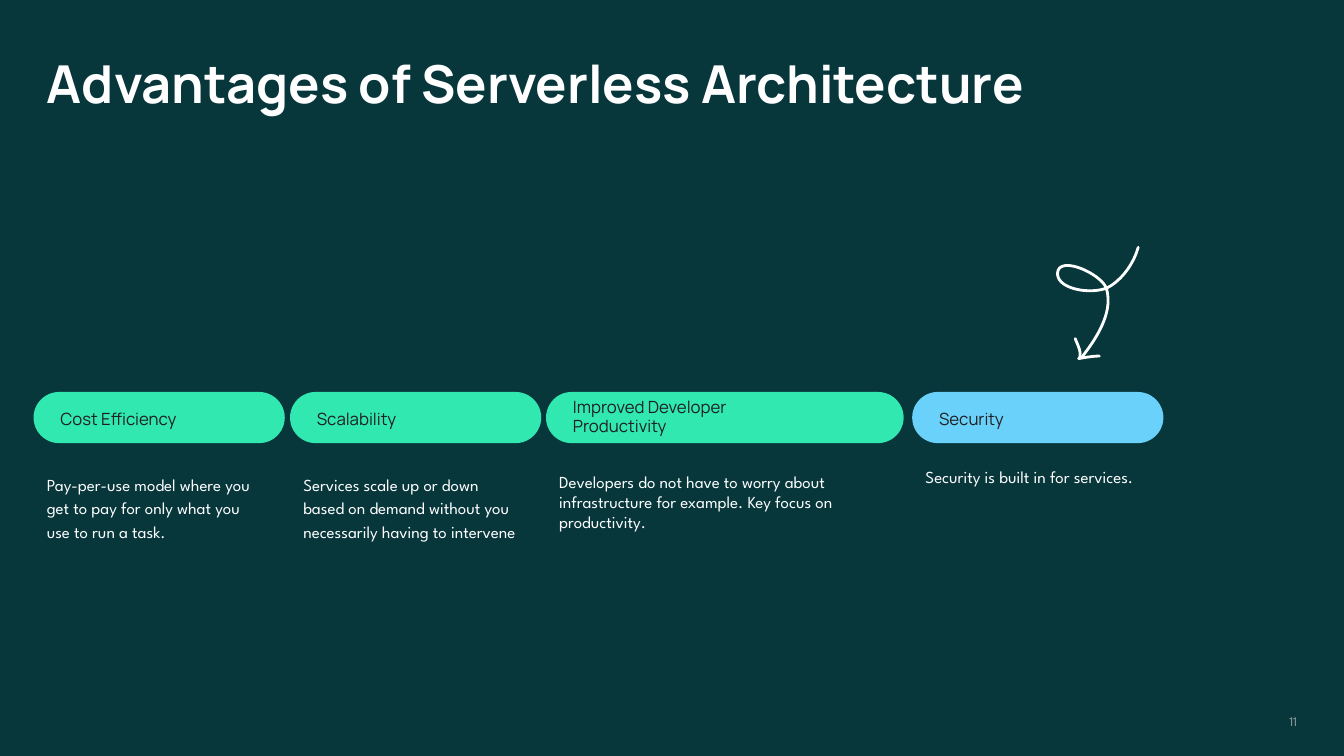
from dataclasses import dataclass

from pptx import Presentation
from pptx.dml.color import RGBColor
from pptx.enum.shapes import MSO_SHAPE
from pptx.enum.text import MSO_ANCHOR, PP_ALIGN
from pptx.util import Pt


@dataclass(frozen=True)
class Theme:
    background: str = "07363B"
    green: str = "30E8B0"
    blue: str = "6AD1FA"
    dark: str = "1F1F1F"
    white: str = "FFFFFF"
    muted: str = "93A2A2"
    heading_font: str = "Manrope"
    body_font: str = "League Spartan"
    title_size: float = 28
    text_size: float = 9
    number_size: float = 7
    stroke: float = 1.5


THEME = Theme()


@dataclass(frozen=True)
class Box:
    left: float
    top: float
    width: float
    height: float

    def lengths(self) -> tuple:
        return Pt(self.left), Pt(self.top), Pt(self.width), Pt(self.height)


@dataclass(frozen=True)
class TextStyle:
    font: str
    size: float
    color: str
    bold: bool = False
    align: PP_ALIGN = PP_ALIGN.LEFT
    anchor: MSO_ANCHOR = MSO_ANCHOR.TOP
    insets: tuple = (7.2, 7.2, 7.2, 7.2)  # left, top, right, bottom


@dataclass(frozen=True)
class Advantage:
    label: str
    detail: str
    left: float
    width: float = 134.6
    color: str = THEME.green
    label_spacing: float = 1.15
    detail_spacing: float = 1.15


TITLE = TextStyle(THEME.heading_font, THEME.title_size, THEME.white, bold=True)
LABEL = TextStyle(THEME.heading_font, THEME.text_size, THEME.dark,
                  anchor=MSO_ANCHOR.MIDDLE, insets=(14.4, 0, 14.4, 0))
DETAIL = TextStyle(THEME.body_font, THEME.text_size, THEME.white,
                   insets=(7.2, 14.4, 14.4, 7.2))
NUMBER = TextStyle(THEME.body_font, THEME.number_size, THEME.muted,
                   align=PP_ALIGN.RIGHT)

PILL_TOP, PILL_HEIGHT = 210, 27.4
DETAIL_TOP, DETAIL_HEIGHT = 238.3, 90
LABEL_SHARE = 0.77  # part of the pill width open to its label

ADVANTAGES = [
    Advantage("Cost Efficiency",
              "Pay-per-use model where you get to pay for only what you use "
              "to run a task.", 18),
    Advantage("Scalability",
              "Services scale up or down based on demand without you "
              "necessarily having to intervene", 155.4),
    # The longer texts here are set with tighter lines
    Advantage("Improved Developer Productivity",
              "Developers do not have to worry about infrastructure for "
              "example. Key focus on productivity.", 292.5, width=191.6,
              label_spacing=0.92, detail_spacing=1.0),
    Advantage("Security", "Security is built in for services.", 488.7,
              color=THEME.blue),
]

# Each stroke is a start point followed by Bezier control points, three a curve
ARROW_STROKES = [
    [(609.8, 132.5), (607.7, 140.4), (601.9, 149), (594.7, 153.4),
     (586.8, 158.4), (565.9, 155.5), (566.6, 146.2),
     (567.4, 136.8), (589, 146.2), (592.6, 154.1),
     (596.9, 167), (587.5, 181.4), (579.2, 191.9)],
    [(576, 181.4), (577.4, 185), (579.6, 188.6), (578.2, 192.2)],
    [(577.8, 192.1), (581.8, 191.5), (585.4, 190.8), (589, 190.8)],
]


def rgb(color: str) -> RGBColor:
    return RGBColor.from_string(color)


def add_text(slide, box: Box, text: str, style: TextStyle,
             spacing: float = 1.0) -> None:
    frame = slide.shapes.add_textbox(*box.lengths()).text_frame
    frame.word_wrap = True
    frame.vertical_anchor = style.anchor
    (frame.margin_left, frame.margin_top,
     frame.margin_right, frame.margin_bottom) = map(Pt, style.insets)
    paragraph = frame.paragraphs[0]
    paragraph.alignment = style.align
    paragraph.line_spacing = spacing
    run = paragraph.add_run()
    run.text = text
    run.font.name = style.font
    run.font.size = Pt(style.size)
    run.font.bold = style.bold
    run.font.color.rgb = rgb(style.color)


def add_advantage(slide, item: Advantage) -> None:
    pill_box = Box(item.left, PILL_TOP, item.width, PILL_HEIGHT)
    pill = slide.shapes.add_shape(MSO_SHAPE.ROUNDED_RECTANGLE,
                                  *pill_box.lengths())
    pill.adjustments[0] = 0.5
    pill.shadow.inherit = False
    pill.fill.solid()
    pill.fill.fore_color.rgb = rgb(item.color)
    pill.line.fill.background()

    label_box = Box(item.left, PILL_TOP, item.width * LABEL_SHARE, PILL_HEIGHT)
    add_text(slide, label_box, item.label, LABEL, item.label_spacing)
    detail_box = Box(item.left, DETAIL_TOP, item.width + 0.7, DETAIL_HEIGHT)
    add_text(slide, detail_box, item.detail, DETAIL, item.detail_spacing)


def curve_points(controls: list, steps: int = 20) -> list:
    """Points along a chain of cubic Bezier curves."""
    points = [controls[0]]
    for first in range(0, len(controls) - 1, 3):
        a, b, c, d = controls[first:first + 4]
        for step in range(1, steps + 1):
            t = step / steps
            u = 1 - t
            points.append(tuple(
                u**3 * a[i] + 3 * u**2 * t * b[i] + 3 * u * t**2 * c[i]
                + t**3 * d[i] for i in (0, 1)))
    return points


def add_stroke(slide, controls: list) -> None:
    points = [(Pt(x), Pt(y)) for x, y in curve_points(controls)]
    builder = slide.shapes.build_freeform(*points[0])
    builder.add_line_segments(points[1:], close=False)
    shape = builder.convert_to_shape()
    shape.shadow.inherit = False
    shape.fill.background()
    shape.line.color.rgb = rgb(THEME.white)
    shape.line.width = Pt(THEME.stroke)
    shape.element.spPr.get_or_add_ln().set("cap", "rnd")


def main() -> None:
    presentation = Presentation()
    presentation.slide_width, presentation.slide_height = Pt(720), Pt(405)
    slide = presentation.slides.add_slide(presentation.slide_layouts[6])
    slide.background.fill.solid()
    slide.background.fill.fore_color.rgb = rgb(THEME.background)

    # Title and page number
    add_text(slide, Box(18, 20.2, 546.5, 82),
             "Advantages of Serverless Architecture", TITLE)
    add_text(slide, Box(529.2, 378, 172.8, 23), "11", NUMBER)

    # Pills with their details
    for item in ADVANTAGES:
        add_advantage(slide, item)

    # Looping arrow towards the last pill
    for controls in ARROW_STROKES:
        add_stroke(slide, controls)

    presentation.save("out.pptx")


if __name__ == "__main__":
    main()
